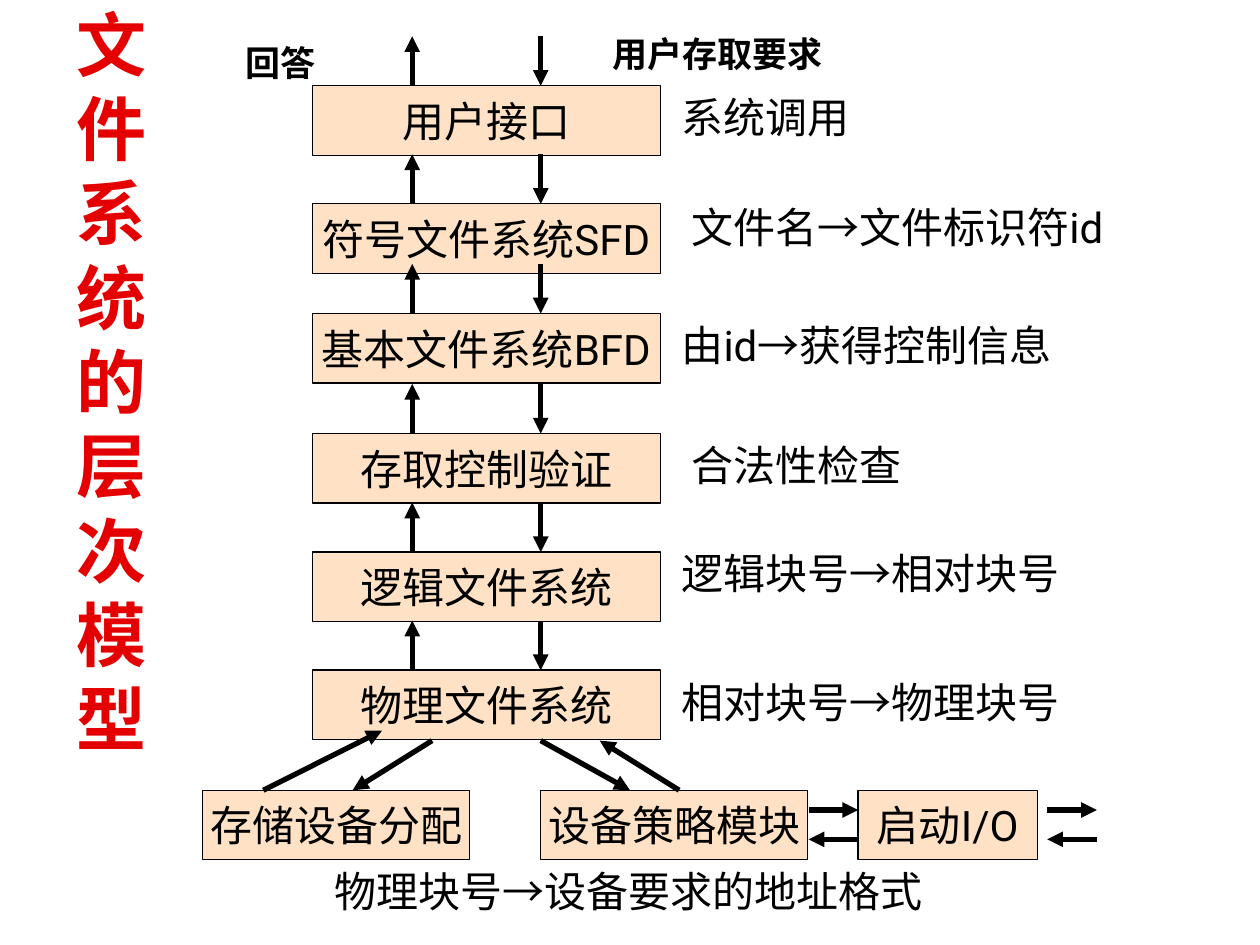
import pptx
import pptx.dml.color
import pptx.enum.shapes
import pptx.enum.text
import pptx.oxml
import pptx.oxml.ns
import pptx.util
from lxml import etree

Cm, Pt = pptx.util.Cm, pptx.util.Pt
RGBColor = pptx.dml.color.RGBColor
qn = pptx.oxml.ns.qn
COLORS = {"black": "000000", "box": "FFE2C5", "title": "E40000", "white": "FFFFFF"}

BOX_HEIGHT = 1.4
LAYER_LEFT, LAYER_WIDTH = 6.3, 7.01
UP_X, DOWN_X, ARROW_LENGTH = 8.31, 10.9, 1.0
DEVICE_TOP = 15.93
LAYER_BOTTOM = 14.93

presentation = pptx.Presentation()
presentation.slide_width, presentation.slide_height = Cm(25.4), Cm(19.05)
slide = presentation.slides.add_slide(presentation.slide_layouts[6])


def write_text(paragraph, text, size, font="Roboto", bold=False, color="black"):
    """Write the text, giving each → its own run in the symbol font."""
    for piece in text.replace("→", "|→|").split("|"):
        run = paragraph.add_run()
        run.text = piece
        run.font.name = "Noto Sans CJK SC" if piece == "→" else font
        run.font.size, run.font.bold = Pt(size), bold
        run.font.color.rgb = RGBColor.from_string(COLORS[color])
        east_asian = etree.SubElement(run.font._element, qn("a:ea"))
        east_asian.set("typeface", font)


def add_arrow(*ends):
    """Draw a line from x, y to x, y (cm) with a head at its end."""
    arrow = slide.shapes.add_connector(
        pptx.enum.shapes.MSO_CONNECTOR.STRAIGHT, *[Cm(value) for value in ends])
    arrow.line.color.rgb = RGBColor.from_string(COLORS["black"])
    arrow.line.width = Pt(3)
    etree.SubElement(arrow.line._get_or_add_ln(), qn("a:tailEnd")).set("type", "triangle")
    etree.SubElement(arrow._element.spPr, qn("a:effectLst"))


# Title, one character to a line
title = slide.shapes.add_textbox(Cm(1.3), Cm(0.81), Cm(2.59), Cm(13.72))
title.fill.solid()
title.fill.fore_color.rgb = RGBColor.from_string(COLORS["white"])
title.text_frame.word_wrap = True
title.text_frame.vertical_anchor = pptx.enum.text.MSO_ANCHOR.MIDDLE
title_paragraph = title.text_frame.paragraphs[0]
title_paragraph.line_spacing = Pt(48.2)
write_text(title_paragraph, "文件系统的层次模型", 40, "Arial", True, "title")

# Boxes: the layers, then the device modules below them
layers = [
    ("用户接口", 1.73), ("符号文件系统SFD", 4.11), ("基本文件系统BFD", 6.32),
    ("存取控制验证", 8.74), ("逻辑文件系统", 11.13), ("物理文件系统", 13.51),
]
boxes = [(text, LAYER_LEFT, top, LAYER_WIDTH) for text, top in layers]
boxes += [
    ("存储设备分配", 4.09, DEVICE_TOP, 5.38),
    ("设备策略模块", 10.9, DEVICE_TOP, 5.38),
    ("启动I/O", 17.3, DEVICE_TOP, 3.61),
]
for text, left, top, width in boxes:
    box = slide.shapes.add_shape(
        pptx.enum.shapes.MSO_SHAPE.RECTANGLE, Cm(left), Cm(top), Cm(width), Cm(BOX_HEIGHT))
    box.shadow.inherit = False
    box.fill.solid()
    box.fill.fore_color.rgb = RGBColor.from_string(COLORS["box"])
    box.line.color.rgb = RGBColor.from_string(COLORS["black"])
    box.line.width = Pt(0.75)
    box.text_frame.word_wrap = False
    box.text_frame.vertical_anchor = pptx.enum.text.MSO_ANCHOR.MIDDLE
    box_paragraph = box.text_frame.paragraphs[0]
    box_paragraph.alignment = pptx.enum.text.PP_ALIGN.CENTER
    write_text(box_paragraph, text, 24)

# Answer and request arrows above every layer
for text, top in layers:
    add_arrow(UP_X, top, UP_X, top - ARROW_LENGTH)
    add_arrow(DOWN_X, top - ARROW_LENGTH, DOWN_X, top)

# Slanted arrows between the physical layer and the device modules
add_arrow(5.31, DEVICE_TOP, 7.7, 14.73)
add_arrow(8.71, LAYER_BOTTOM, 7.11, DEVICE_TOP)
add_arrow(10.9, LAYER_BOTTOM, 12.7, DEVICE_TOP)
add_arrow(13.69, DEVICE_TOP, 12.09, LAYER_BOTTOM)

# Arrows on both sides of the I/O box
for left in (16.3, 21.11):
    add_arrow(left + ARROW_LENGTH, 16.92, left, 16.92)
    add_arrow(left, 16.33, left + ARROW_LENGTH, 16.33)

# Labels: text, left, top, width, size, bold
labels = [
    ("回答", 4.7, 0.71, 2.01, 20, True),
    ("用户存取要求", 12.09, 0.53, 5.21, 20, True),
    ("系统调用", 13.49, 1.73, 5.21, 24, False),
    ("文件名→文件标识符id", 13.69, 3.94, 11.2, 24, False),
    ("由id→获得控制信息", 13.49, 6.32, 11.2, 24, False),
    ("合法性检查", 13.69, 8.74, 5.21, 24, False),
    ("逻辑块号→相对块号", 13.49, 10.92, 11.2, 24, False),
    ("相对块号→物理块号", 13.49, 13.51, 9.02, 24, False),
    ("物理块号→设备要求的地址格式", 6.5, 17.32, 14, 24, False),
]
for text, left, top, width, size, bold in labels:
    label = slide.shapes.add_textbox(
        Cm(left), Cm(top), Cm(width), Cm(1.09 if size == 20 else 1.27))
    label.text_frame.word_wrap = True
    write_text(label.text_frame.paragraphs[0], text, size, bold=bold)

presentation.save("out.pptx")
